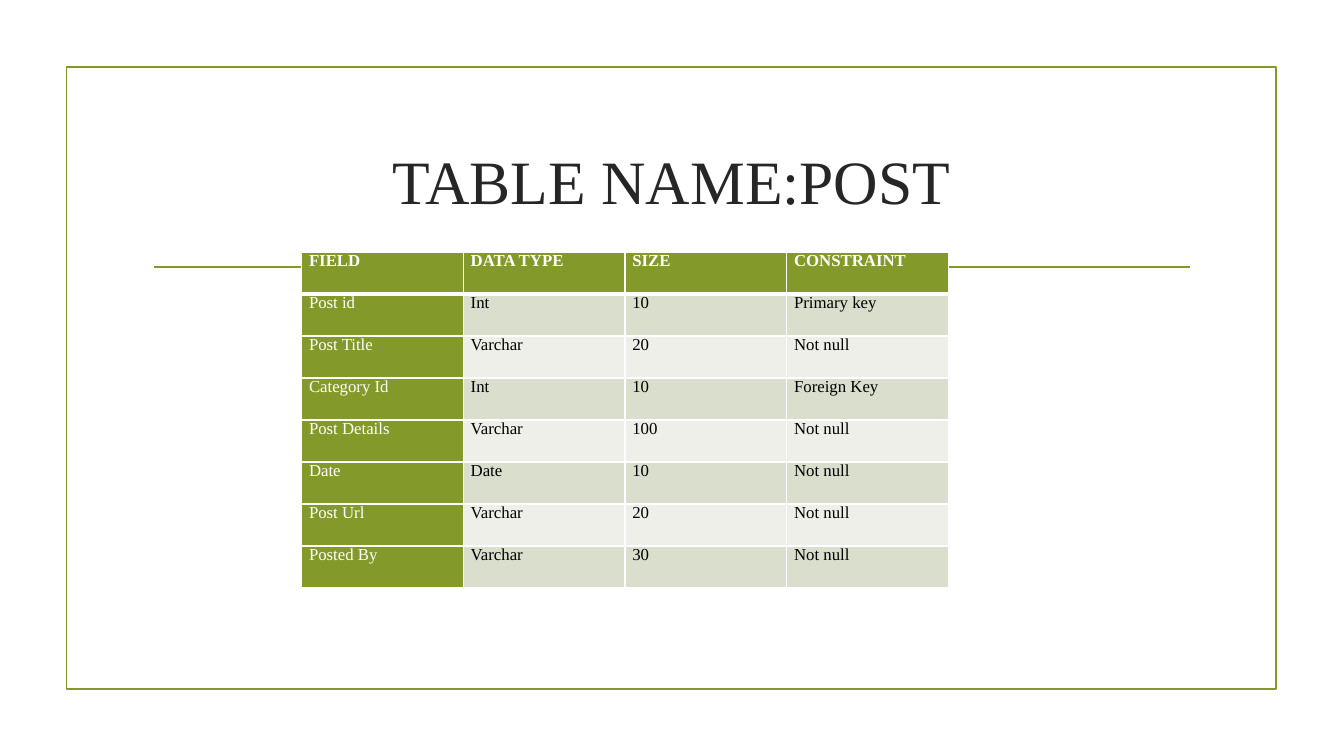
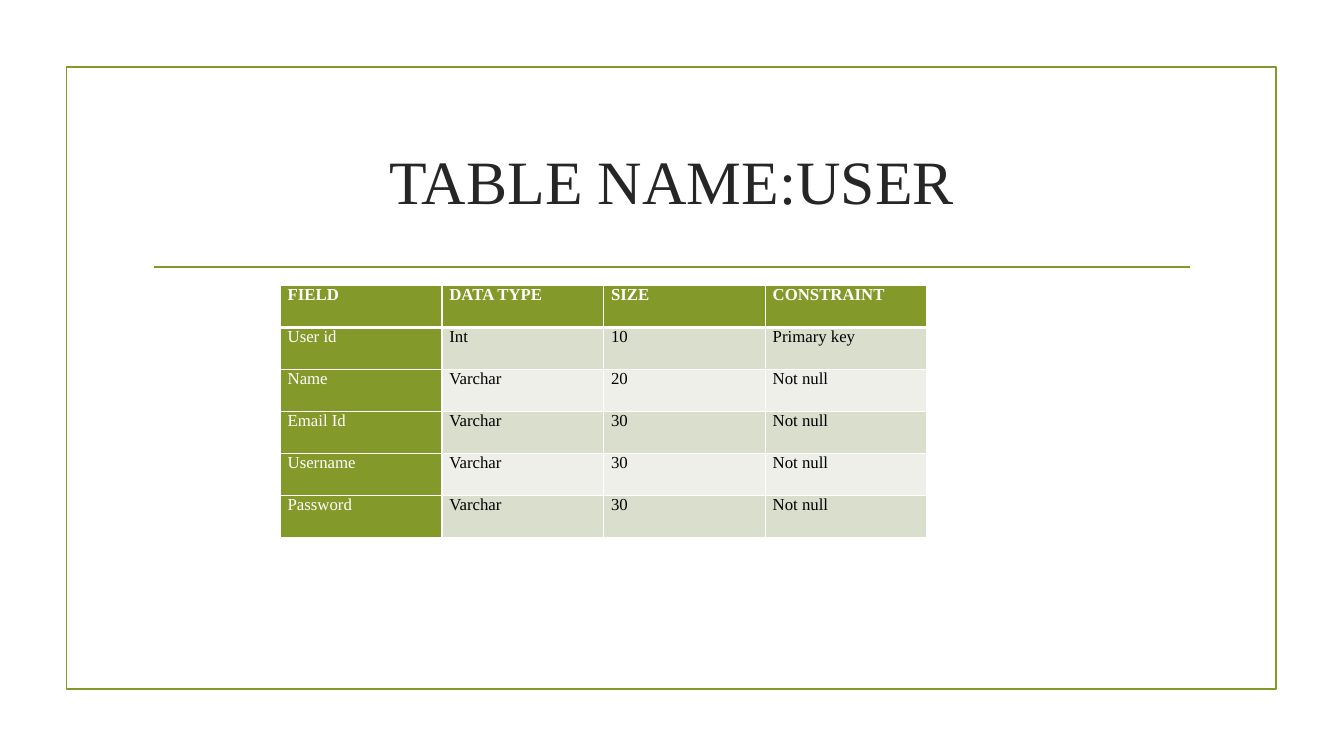
from lxml import etree
from pptx import Presentation
from pptx.dml.color import RGBColor
from pptx.enum.shapes import MSO_CONNECTOR, MSO_SHAPE
from pptx.enum.text import MSO_ANCHOR, PP_ALIGN
from pptx.oxml.ns import qn
from pptx.util import Pt

FONT = "Times New Roman"
GREEN, WHITE, BLACK, TITLE_INK = "83992A", "FFFFFF", "000000", "262626"
BANDS = ("D9DECD", "EDEFE8")

FRAME = (47.5, 48, 864, 444)
TITLE_BOX = (102, 77, 756, 103)
RULE = (110.25, 190.75, 740)
COLUMN_WIDTH, ROW_HEIGHT, CELL_INSET = 115.5, 30, 5.25

HEADINGS = ("FIELD", "DATA TYPE", "SIZE", "CONSTRAINT")
POST_FIELDS = [
    ("Post id", "Int", "10", "Primary key"),
    ("Post Title", "Varchar", "20", "Not null"),
    ("Category Id", "Int", "10", "Foreign Key"),
    ("Post Details", "Varchar", "100", "Not null"),
    ("Date", "Date", "10", "Not null"),
    ("Post Url", "Varchar", "20", "Not null"),
    ("Posted By", "Varchar", "30", "Not null"),
]
USER_FIELDS = [
    ("User id", "Int", "10", "Primary key"),
    ("Name", "Varchar", "20", "Not null"),
    ("Email Id", "Varchar", "30", "Not null"),
    ("Username", "Varchar", "30", "Not null"),
    ("Password", "Varchar", "30", "Not null"),
]


def rgb(hex_color):
    return RGBColor.from_string(hex_color)


def points(box):
    return [Pt(length) for length in box]


def add_run(paragraph, text, size, color, bold=False):
    run = paragraph.add_run()
    run.text = text
    run.font.name = FONT
    run.font.size = Pt(size)
    run.font.bold = bold
    run.font.color.rgb = rgb(color)


def style_line(line):
    line.color.rgb = rgb(GREEN)
    line.width = Pt(1.25)


def add_frame(slide, box):
    frame = slide.shapes.add_shape(MSO_SHAPE.RECTANGLE, *points(box))
    frame.shadow.inherit = False
    frame.fill.background()
    style_line(frame.line)


def add_rule(slide, left, top, width):
    rule = slide.shapes.add_connector(
        MSO_CONNECTOR.STRAIGHT, *points((left, top, left + width, top)))
    style_line(rule.line)
    etree.SubElement(rule._element.spPr, qn("a:effectLst"))


def add_title(slide, text, box):
    title = slide.shapes.add_textbox(*points(box)).text_frame
    title.word_wrap = True
    title.vertical_anchor = MSO_ANCHOR.MIDDLE
    paragraph = title.paragraphs[0]
    paragraph.alignment = PP_ALIGN.CENTER
    add_run(paragraph, text, 44, TITLE_INK)


def add_borders(cell, top=1, bottom=1):
    """Draw white cell borders; call before the fill, which must follow them."""
    properties = cell._tc.get_or_add_tcPr()
    for side, width in (("L", 1), ("R", 1), ("T", top), ("B", bottom)):
        border = etree.SubElement(properties, qn(f"a:ln{side}"), w=str(Pt(width)))
        fill = etree.SubElement(border, qn("a:solidFill"))
        etree.SubElement(fill, qn("a:srgbClr"), val=WHITE)


def fill_cell(cell, text, row, column):
    is_header = row == 0
    is_green = is_header or column == 0
    add_borders(cell, top=3 if row == 1 else 1, bottom=3 if is_header else 1)
    cell.fill.solid()
    cell.fill.fore_color.rgb = rgb(GREEN if is_green else BANDS[(row - 1) % 2])
    cell.margin_left = cell.margin_right = Pt(CELL_INSET)
    cell.margin_top = cell.margin_bottom = 0
    add_run(cell.text_frame.paragraphs[0], text, 12,
            WHITE if is_green else BLACK, bold=is_header)


def add_field_table(slide, fields, left, top):
    rows = [HEADINGS, *fields]
    box = (left, top, COLUMN_WIDTH * len(HEADINGS), ROW_HEIGHT * len(rows))
    table = slide.shapes.add_table(len(rows), len(HEADINGS), *points(box)).table
    table.first_col = True
    for column in table.columns:
        column.width = Pt(COLUMN_WIDTH)
    for r, values in enumerate(rows):
        table.rows[r].height = Pt(ROW_HEIGHT)
        for c, text in enumerate(values):
            fill_cell(table.cell(r, c), text, r, c)


def add_schema_slide(deck, title, fields, left, top):
    slide = deck.slides.add_slide(deck.slide_layouts[6])
    add_frame(slide, FRAME)
    add_rule(slide, *RULE)
    add_title(slide, title, TITLE_BOX)
    add_field_table(slide, fields, left, top)


def main():
    deck = Presentation()
    deck.slide_width, deck.slide_height = Pt(960), Pt(540)
    add_schema_slide(deck, "TABLE NAME:POST", POST_FIELDS, 215.5, 180)
    add_schema_slide(deck, "TABLE NAME:USER", USER_FIELDS, 200.25, 204)
    deck.save("out.pptx")


if __name__ == "__main__":
    main()
